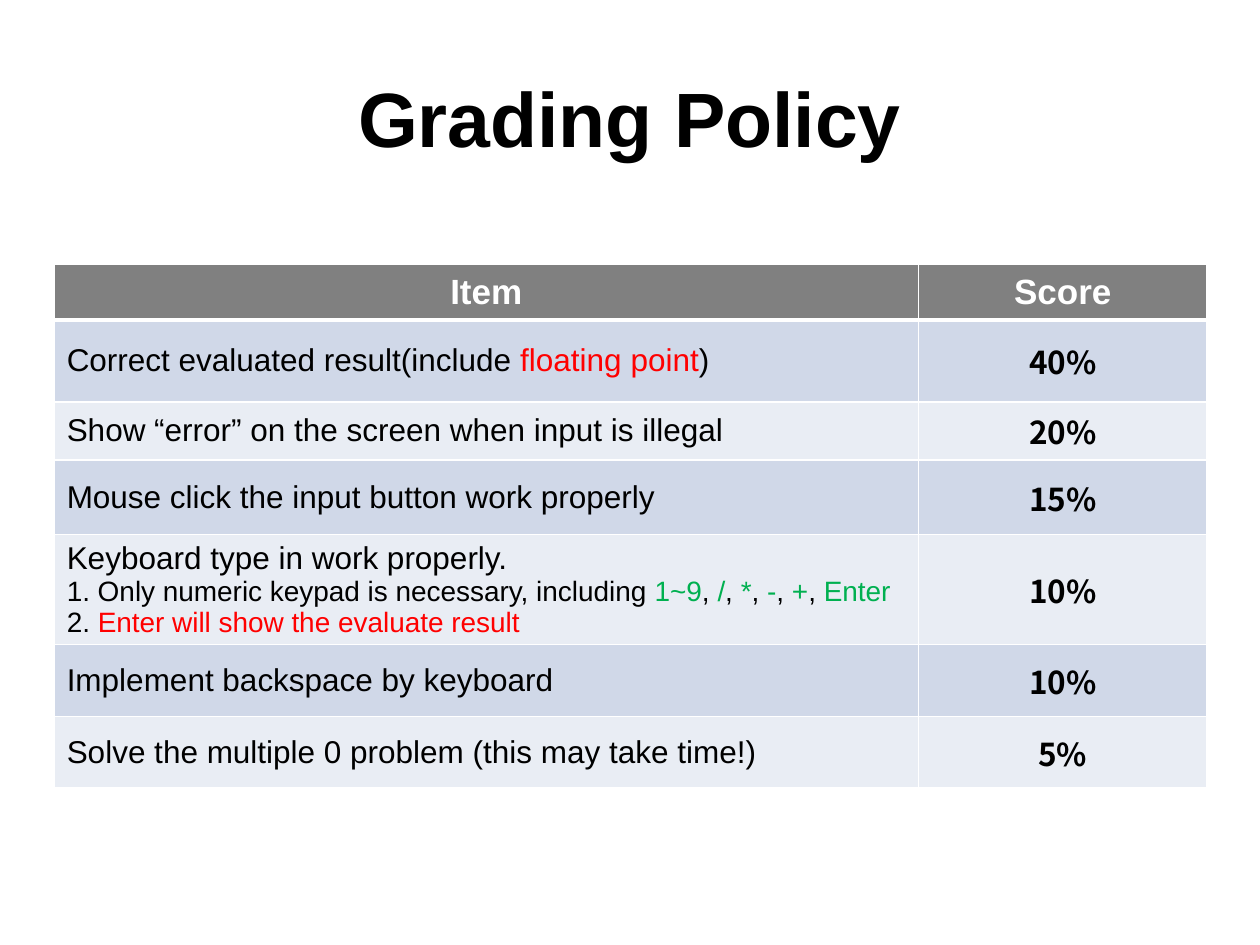
from lxml import etree
from pptx import Presentation
from pptx import util as u
from pptx.dml.color import RGBColor
from pptx.enum import text
from pptx.oxml import ns

BLACK = RGBColor(0x00, 0x00, 0x00)
WHITE = RGBColor(0xFF, 0xFF, 0xFF)
RED = RGBColor(0xFF, 0x00, 0x00)
GREEN = RGBColor(0x00, 0xB0, 0x50)
GRAY = RGBColor(0x80, 0x80, 0x80)
BANDS = (RGBColor(0xD0, 0xD8, 0xE8), RGBColor(0xE9, 0xED, 0xF4))

LEFT, CENTER, JUSTIFY = (text.PP_ALIGN.LEFT, text.PP_ALIGN.CENTER,
                         text.PP_ALIGN.JUSTIFY)
TITLE = dict(name="Arial", size=u.Pt(44), bold=True)
HEADER = dict(name="Arial", size=u.Pt(20), bold=True)
BODY = dict(name="Arial", size=u.Pt(18), bold=False)
DETAIL = dict(BODY, size=u.Pt(16))
SCORE = dict(name="Noto Sans CJK SC", size=u.Pt(18), bold=True)

COLUMN_WIDTHS = (6.86, 2.29)
HEADER_HEIGHT = 0.44


def keypad_spans(keys):
    """Green key names separated by black commas."""
    spans = []
    for key in keys:
        if spans:
            spans.append((", ", BLACK))
        spans.append((key, GREEN))
    return spans


# Each item: row height, alignment, paragraphs as (format, spans), score
ITEMS = [
    (0.65, LEFT, [(BODY, [("Correct evaluated result(include ", BLACK),
                          ("floating point", RED), (")", BLACK)])], "40%"),
    (0.44, LEFT, [(BODY, [("Show “error” on the screen when input is illegal",
                           BLACK)])], "20%"),
    (0.59, JUSTIFY, [(BODY, [("Mouse click the input button work properly",
                              BLACK)])], "15%"),
    (0.59, LEFT, [
        (BODY, [("Keyboard type in work properly.", BLACK)]),
        (DETAIL, [("1. Only numeric keypad is necessary, including ", BLACK)]
         + keypad_spans(["1~9", "/", "*", "-", "+", "Enter"])),
        (DETAIL, [("2. ", BLACK),
                  ("Enter will show the evaluate result", RED)]),
    ], "10%"),
    (0.57, LEFT, [(BODY, [("Implement backspace by keyboard", BLACK)])], "10%"),
    (0.57, LEFT, [(BODY, [("Solve the multiple 0 problem (this may take time!)",
                           BLACK)])], "5%"),
]


class SlideBuilder:
    def __init__(self, deck):
        self.slide = deck.slides.add_slide(deck.slide_layouts[5])

    def fill_text(self, frame, paragraphs, align):
        for index, (style, spans) in enumerate(paragraphs):
            para = frame.add_paragraph() if index else frame.paragraphs[0]
            para.alignment = align
            for words, color in spans:
                span = para.add_run()
                span.text = words
                for key, value in style.items():
                    setattr(span.font, key, value)
                span.font.color.rgb = color

    def title(self, words, left, top, width, height):
        box = self.slide.shapes.title
        place = dict(left=left, top=top, width=width, height=height)
        for key, value in place.items():
            setattr(box, key, u.Inches(value))
        box.text_frame.vertical_anchor = text.MSO_ANCHOR.MIDDLE
        self.fill_text(box.text_frame, [(TITLE, [(words, BLACK)])], CENTER)

    def borders(self, cell, widths):
        """Draw white borders; widths maps L, R, T, B to points, in that order."""
        props = cell._tc.get_or_add_tcPr()
        for side, points in widths.items():
            line = etree.SubElement(props, ns.qn(f"a:ln{side}"),
                                    w=str(u.Pt(points)))
            fill = etree.SubElement(line, ns.qn("a:solidFill"))
            etree.SubElement(fill, ns.qn("a:srgbClr"), val=str(WHITE))

    def cell(self, cell, paragraphs, align, fill, top=1, bottom=1):
        self.borders(cell, dict(L=1, R=1, T=top, B=bottom))
        cell.fill.solid()
        cell.fill.fore_color.rgb = fill
        cell.vertical_anchor = text.MSO_ANCHOR.MIDDLE
        self.fill_text(cell.text_frame, paragraphs, align)

    def grading_table(self, left, top, height):
        frame = self.slide.shapes.add_table(
            len(ITEMS) + 1, len(COLUMN_WIDTHS), u.Inches(left), u.Inches(top),
            u.Inches(sum(COLUMN_WIDTHS)), u.Inches(height))
        table = frame.table
        for column, width in zip(table.columns, COLUMN_WIDTHS):
            column.width = u.Inches(width)

        table.rows[0].height = u.Inches(HEADER_HEIGHT)
        for column, words in enumerate(("Item", "Score")):
            self.cell(table.cell(0, column), [(HEADER, [(words, WHITE)])],
                      CENTER, GRAY, bottom=3)

        for row, (row_height, align, paragraphs, score) in enumerate(ITEMS, 1):
            table.rows[row].height = u.Inches(row_height)
            band = BANDS[(row - 1) % 2]
            line = 3 if row == 1 else 1
            self.cell(table.cell(row, 0), paragraphs, align, band, top=line)
            self.cell(table.cell(row, 1), [(SCORE, [(score, BLACK)])],
                      CENTER, band, top=line)
        frame.height = u.Inches(height)


def main():
    deck = Presentation()
    deck.slide_width, deck.slide_height = u.Inches(10), u.Inches(7.5)
    page = SlideBuilder(deck)
    page.title("Grading Policy", 0.5, 0.3, 9, 1.25)
    page.grading_table(0.43, 2.1, 4.19)
    deck.save("out.pptx")


if __name__ == "__main__":
    main()
